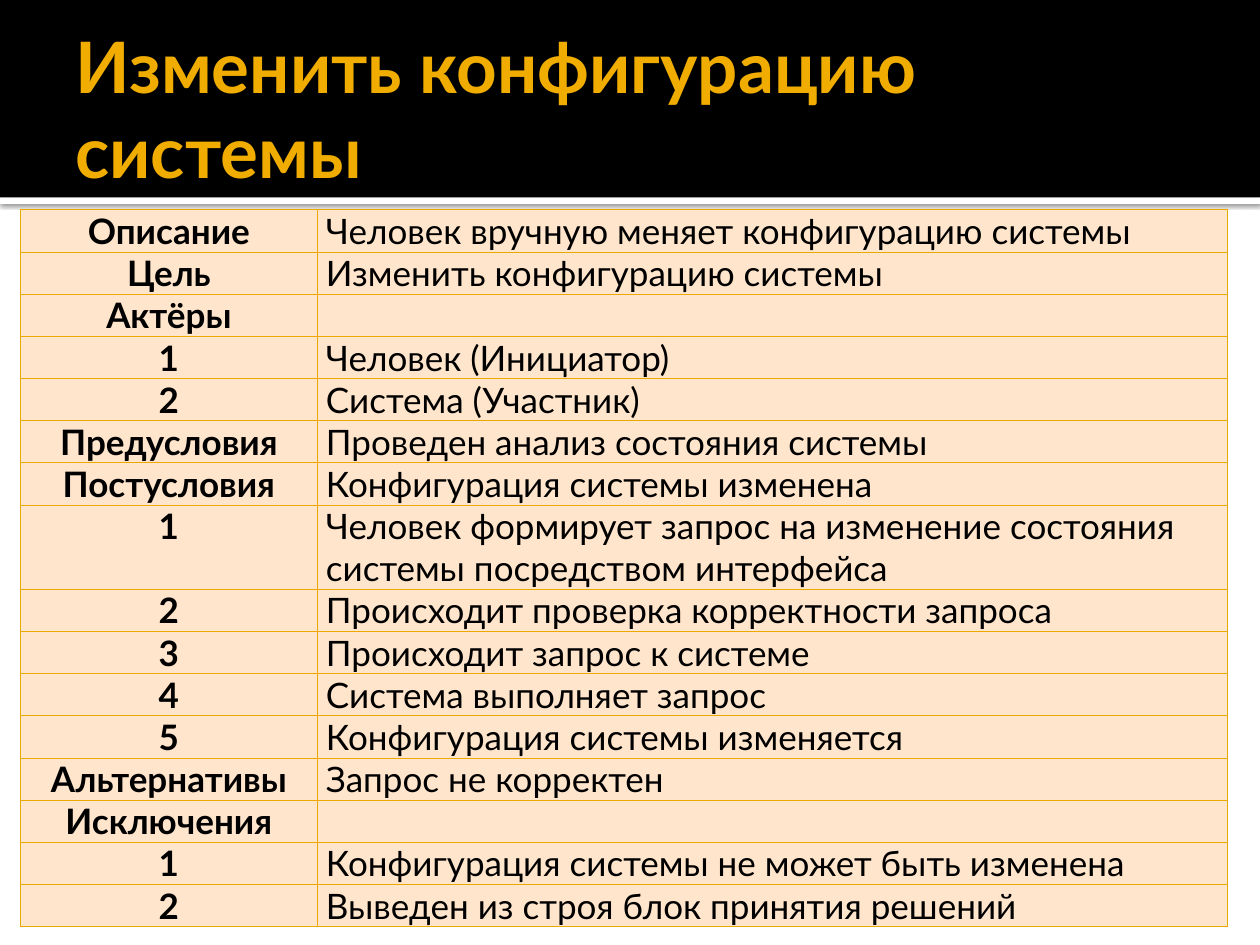
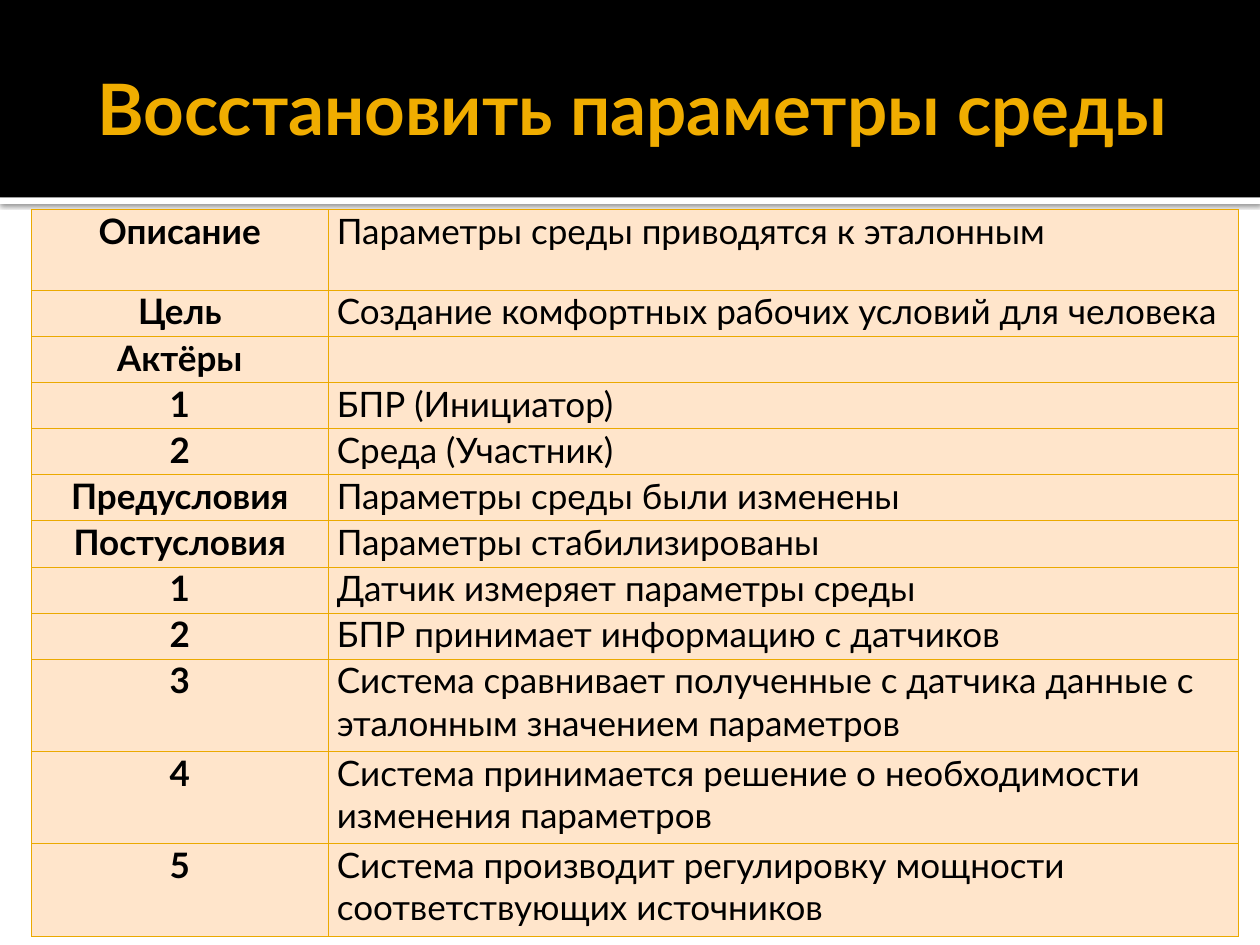
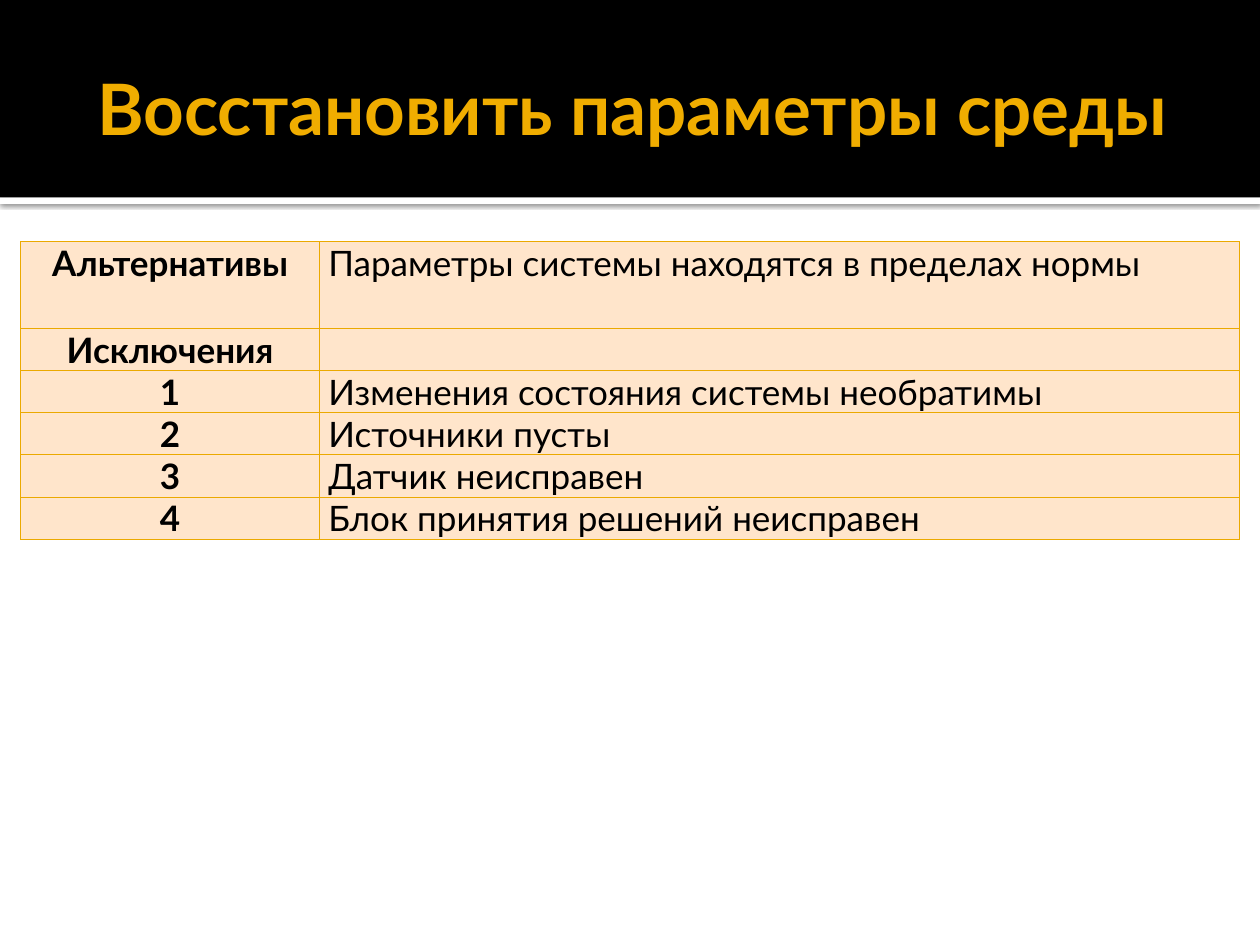
from lxml.etree import SubElement
from pptx import Presentation
from pptx.dml.color import RGBColor
from pptx.enum.shapes import MSO_SHAPE
from pptx.enum.text import MSO_ANCHOR, PP_ALIGN
from pptx.oxml.ns import qn
from pptx.util import Cm, Pt

# Content: one use case per slide; a row is (label, text) or (label, text, height in cm)
SLIDES = [
    {
        "title": "Изменить конфигурацию системы", "align": PP_ALIGN.LEFT,
        "left": 0.42, "top": 4.23, "columns": (5.97, 18.36), "row_height": 0.85,
        "rows": [
            ("Описание", "Человек вручную меняет конфигурацию системы"),
            ("Цель", "Изменить конфигурацию системы"),
            ("Актёры", ""),
            ("1", "Человек (Инициатор)"),
            ("2", "Система (Участник)"),
            ("Предусловия", "Проведен анализ состояния системы"),
            ("Постусловия", "Конфигурация системы изменена"),
            ("1", "Человек формирует запрос на изменение состояния системы "
                  "посредством интерфейса", 1.7),
            ("2", "Происходит проверка корректности запроса"),
            ("3", "Происходит запрос к системе"),
            ("4", "Система выполняет запрос"),
            ("5", "Конфигурация системы изменяется"),
            ("Альтернативы", "Запрос не корректен"),
            ("Исключения", ""),
            ("1", "Конфигурация системы не может быть изменена"),
            ("2", "Выведен из строя блок принятия решений"),
        ],
    },
    {
        "title": "Восстановить параметры среды", "align": PP_ALIGN.CENTER,
        "left": 0.64, "top": 4.23, "columns": (5.97, 18.36), "row_height": 0.93,
        "rows": [
            ("Описание", "Параметры среды приводятся к эталонным", 1.62),
            ("Цель", "Создание комфортных рабочих условий для человека"),
            ("Актёры", ""),
            ("1", "БПР (Инициатор)"),
            ("2", "Среда (Участник)"),
            ("Предусловия", "Параметры среды были изменены"),
            ("Постусловия", "Параметры стабилизированы"),
            ("1", "Датчик измеряет параметры среды"),
            ("2", "БПР принимает информацию с датчиков"),
            ("3", "Система сравнивает полученные с датчика данные с эталонным "
                  "значением параметров", 1.86),
            ("4", "Система принимается решение о необходимости изменения "
                  "параметров", 1.86),
            ("5", "Система производит регулировку мощности соответствующих "
                  "источников", 1.86),
        ],
    },
    {
        "title": "Восстановить параметры среды", "align": PP_ALIGN.CENTER,
        "left": 0.42, "top": 4.87, "columns": (6.02, 18.54), "row_height": 0.85,
        "rows": [
            ("Альтернативы", "Параметры системы находятся в пределах нормы", 1.75),
            ("Исключения", ""),
            ("1", "Изменения состояния системы необратимы"),
            ("2", "Источники пусты"),
            ("3", "Датчик неисправен"),
            ("4", "Блок принятия решений неисправен"),
        ],
    },
]

# Shared style
COLORS = {"band": "000000", "strip": "FFFFFF", "title": "F0AD00",
          "text": "000000", "cell": "FFE5CB", "border": "EBA900"}
FONT = "Lato"
WIDTH, HEIGHT = 25.4, 19.05
BAND_HEIGHT, STRIP_HEIGHT = 3.98, 0.13


def rgb(name):
    return RGBColor.from_string(COLORS[name])


def write(frame, text, size=20, color="text", bold=False, align=PP_ALIGN.LEFT):
    paragraph = frame.paragraphs[0]
    paragraph.alignment = align
    if text:
        run = paragraph.add_run()
        run.text = text
        run.font.name, run.font.size, run.font.bold = FONT, Pt(size), bold
        run.font.color.rgb = rgb(color)


def add_bar(slide, top, height, color):
    bar = slide.shapes.add_shape(MSO_SHAPE.RECTANGLE, 0, Cm(top), Cm(WIDTH), Cm(height))
    bar.shadow.inherit = False
    bar.fill.solid()
    bar.fill.fore_color.rgb = rgb(color)
    bar.line.fill.background()
    return bar


def add_header(slide, title, align):
    # White strip with a soft shadow under the black band
    strip = add_bar(slide, BAND_HEIGHT, STRIP_HEIGHT, "strip")
    effects = strip.element.spPr.find(qn("a:effectLst"))
    shadow = SubElement(effects, qn("a:outerShdw"), blurRad=str(Pt(2.5)),
                        dist=str(Pt(0.8)), dir="5400000", algn="tl", rotWithShape="0")
    shade = SubElement(shadow, qn("a:srgbClr"), val="000000")
    SubElement(shade, qn("a:alpha"), val="60000")
    add_bar(slide, 0, BAND_HEIGHT, "band")

    # Title
    frame = slide.shapes.add_textbox(Cm(1.27), Cm(0.43), Cm(22.86), Cm(3.48)).text_frame
    frame.word_wrap = True
    frame.vertical_anchor = MSO_ANCHOR.MIDDLE
    frame.margin_left = Cm(0.25)
    frame.margin_right = frame.margin_top = frame.margin_bottom = Cm(0.13)
    write(frame, title, size=40.5, color="title", bold=True, align=align)


def style_cell(cell):
    cell.margin_left = cell.margin_right = Cm(0.18)
    cell.margin_top = cell.margin_bottom = 0
    properties = cell._tc.get_or_add_tcPr()
    for side in ("lnL", "lnR", "lnT", "lnB"):
        border = SubElement(properties, qn("a:" + side), w=str(Pt(0.5)))
        fill = SubElement(border, qn("a:solidFill"))
        SubElement(fill, qn("a:srgbClr"), val=COLORS["border"])
    cell.fill.solid()
    cell.fill.fore_color.rgb = rgb("cell")


def add_use_case(slide, left, top, columns, row_height, rows):
    heights = [row[2] if len(row) > 2 else row_height for row in rows]
    table = slide.shapes.add_table(len(rows), len(columns), Cm(left), Cm(top),
                                   Cm(sum(columns)), Cm(sum(heights))).table
    table.first_row = table.horz_banding = False
    for column, width in zip(table.columns, columns):
        column.width = Cm(width)
    for line, height, (label, text, *_) in zip(table.rows, heights, rows):
        line.height = Cm(height)
        label_cell, text_cell = line.cells
        style_cell(label_cell)
        style_cell(text_cell)
        write(label_cell.text_frame, label, bold=True, align=PP_ALIGN.CENTER)
        write(text_cell.text_frame, text)


# Build the slides
deck = Presentation()
deck.slide_width, deck.slide_height = Cm(WIDTH), Cm(HEIGHT)
for content in SLIDES:
    slide = deck.slides.add_slide(deck.slide_layouts[6])
    add_header(slide, content["title"], content["align"])
    add_use_case(slide, content["left"], content["top"], content["columns"],
                 content["row_height"], content["rows"])
deck.save("out.pptx")
